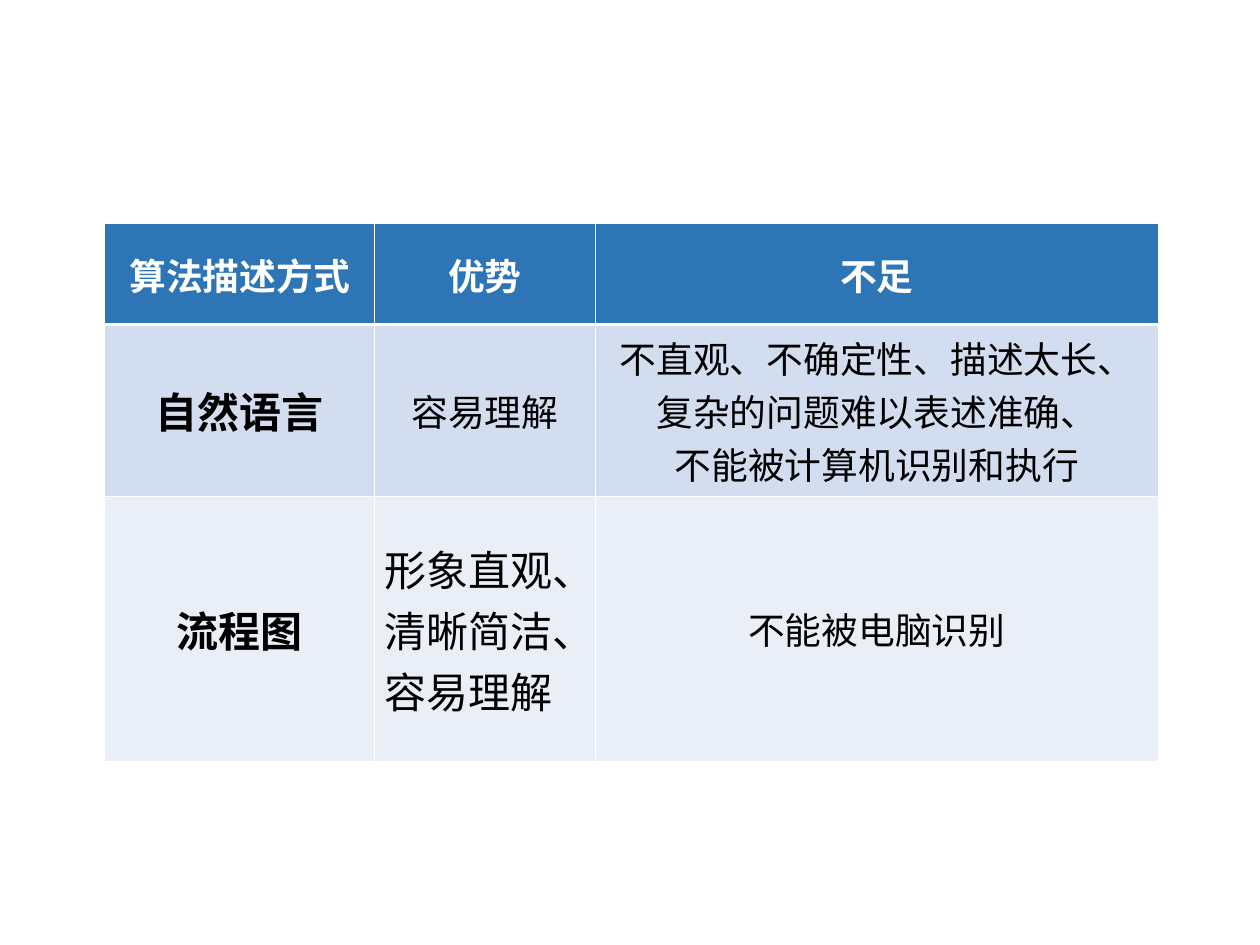
from lxml.etree import SubElement
from pptx import Presentation
from pptx.dml.color import RGBColor
from pptx.enum.text import MSO_ANCHOR as Anchor, PP_ALIGN as Align
from pptx.oxml.ns import qn
from pptx.util import Cm, Pt

# Content: each cell is (paragraphs, size, bold, alignment)
ROWS = [
    [(["算法描述方式"], 21, True, Align.CENTER),
     (["优势"], 21, True, Align.CENTER),
     (["不足"], 21, True, Align.CENTER)],
    [(["自然语言"], 24, True, Align.CENTER),
     (["容易理解"], 21, False, Align.CENTER),
     (["不直观、不确定性、描述太长、",
       "复杂的问题难以表述准确、",
       "不能被计算机识别和执行"], 21, False, Align.CENTER)],
    [(["流程图"], 24, True, Align.CENTER),
     (["形象直观、清晰简洁、容易理解"], 24, False, Align.LEFT),
     (["不能被电脑识别"], 21, False, Align.CENTER)],
]

# Style
FONT = "Noto Sans CJK SC"
WHITE = RGBColor(0xFF, 0xFF, 0xFF)
BLACK = RGBColor(0x00, 0x00, 0x00)
ROW_FILLS = [RGBColor(0x2E, 0x75, 0xB6), RGBColor(0xD2, 0xDE, 0xEF),
             RGBColor(0xEA, 0xEF, 0xF7)]
THIN, THICK = Pt(0.45), Pt(1.47)

# Layout in centimetres
LEFT, TOP = 2.11, 4.51
COLUMN_WIDTHS = [5.44, 4.45, 11.35]
ROW_HEIGHTS = [2.03, 3.25, 5.33]


def add_borders(cell, top, bottom):
    properties = cell._tc.get_or_add_tcPr()
    for side, width in (("L", THIN), ("R", THIN), ("T", top), ("B", bottom)):
        line = SubElement(properties, qn(f"a:ln{side}"), w=str(int(width)))
        fill = SubElement(line, qn("a:solidFill"))
        SubElement(fill, qn("a:srgbClr"), val=str(WHITE))


def write_cell(cell, content, color):
    lines, size, bold, align = content
    cell.vertical_anchor = Anchor.MIDDLE
    cell.margin_left = cell.margin_right = Cm(0.2)
    cell.margin_top = cell.margin_bottom = Cm(0.13)
    frame = cell.text_frame
    for index, line in enumerate(lines):
        para = frame.add_paragraph() if index else frame.paragraphs[0]
        para.alignment = align
        span = para.add_run()
        span.text = line
        font = span.font
        font.size, font.bold, font.name = Pt(size), bold, FONT
        font.color.rgb = color
        SubElement(span._r.get_or_add_rPr(), qn("a:ea"), typeface=FONT)


def main():
    deck = Presentation()
    deck.slide_width, deck.slide_height = Cm(25.4), Cm(19.05)
    page = deck.slides.add_slide(deck.slide_layouts[6])

    # Comparison table
    table = page.shapes.add_table(
        len(ROWS), len(COLUMN_WIDTHS), Cm(LEFT), Cm(TOP),
        Cm(sum(COLUMN_WIDTHS)), Cm(sum(ROW_HEIGHTS))).table
    for column, width in zip(table.columns, COLUMN_WIDTHS):
        column.width = Cm(width)
    for row, height in zip(table.rows, ROW_HEIGHTS):
        row.height = Cm(height)

    # Cells: the header is set off by a thick line below it
    for r, contents in enumerate(ROWS):
        for c, content in enumerate(contents):
            cell = table.cell(r, c)
            add_borders(cell, THICK if r == 1 else THIN,
                        THICK if r == 0 else THIN)
            cell.fill.solid()
            cell.fill.fore_color.rgb = ROW_FILLS[r]
            write_cell(cell, content, BLACK if r else WHITE)

    deck.save("out.pptx")


if __name__ == "__main__":
    main()
